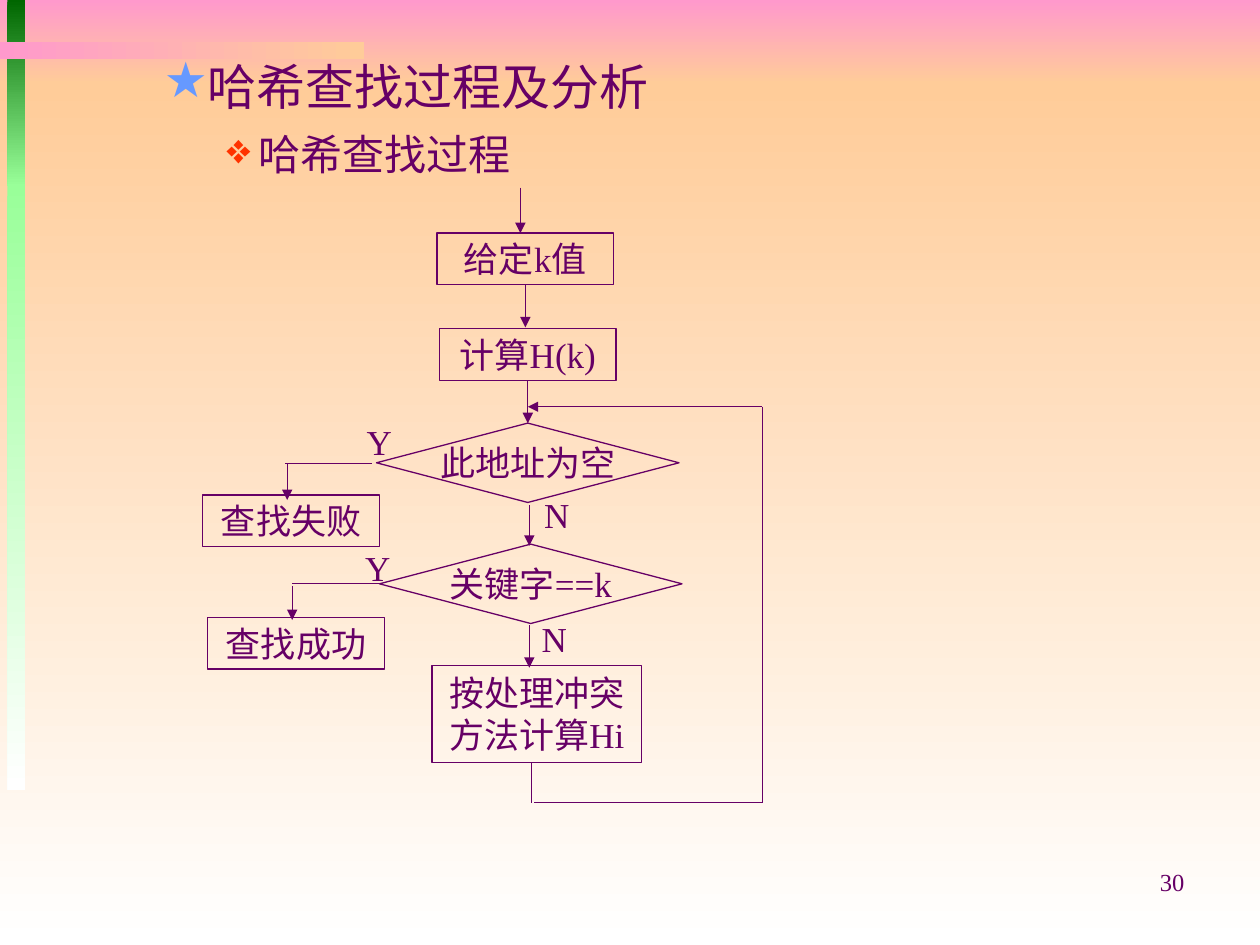
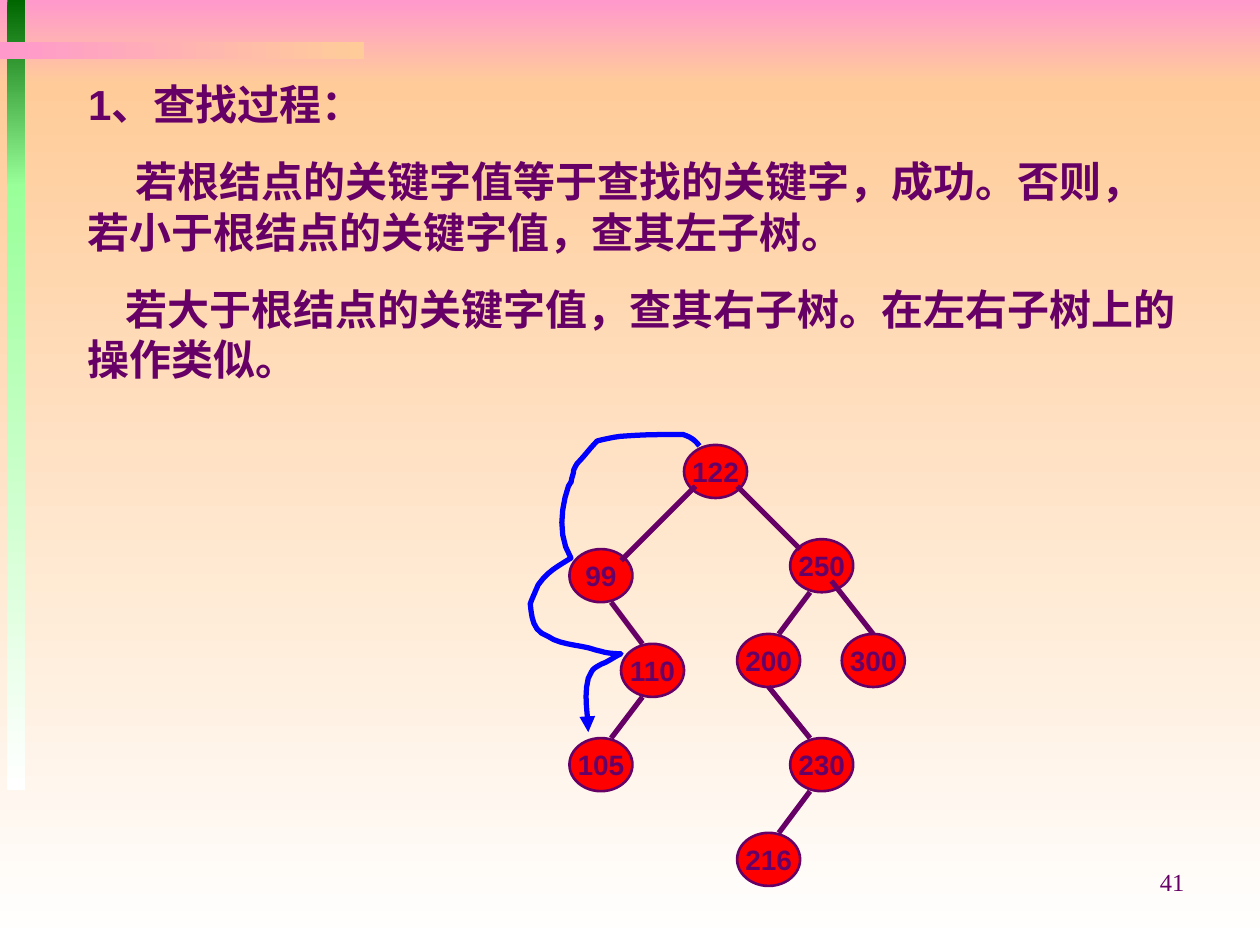
"""Build two slides on hash lookup and binary search tree lookup."""
import dataclasses

import lxml.etree
import pptx
import pptx.dml.color
import pptx.enum.shapes
import pptx.enum.text
import pptx.oxml.ns
import pptx.util

Cm, Pt = pptx.util.Cm, pptx.util.Pt
rgb = pptx.dml.color.RGBColor.from_string
qn = pptx.oxml.ns.qn
PRESET = pptx.enum.shapes.MSO_SHAPE
ALIGN = pptx.enum.text.PP_ALIGN
ANCHOR = pptx.enum.text.MSO_ANCHOR


@dataclasses.dataclass(frozen=True)
class Theme:
    ink: str = "660066"
    pink: str = "FF99CC"
    peach: str = "FFCC99"
    white: str = "FFFFFF"
    dark_green: str = "006600"
    light_green: str = "99FF99"
    star: str = "6699FF"
    diamond: str = "FF3300"
    node: str = "FF0000"
    trail: str = "0000FF"
    sans: str = "Arial"
    serif: str = "Times New Roman"
    heading: int = 28
    body: int = 24
    flow: int = 20
    key: int = 16
    page: int = 14
    thin: float = 0.75
    outline: float = 1.5
    thick: float = 3


theme = Theme()


def write(shape, text, size, font=theme.sans, bold=False, align=ALIGN.LEFT,
          anchor=ANCHOR.TOP, wrap=True, gap=0, indents=(), bullet=None):
    """Fill a shape with one paragraph per line of text."""
    frame = shape.text_frame
    frame.auto_size = pptx.enum.text.MSO_AUTO_SIZE.NONE
    frame.word_wrap = wrap
    frame.vertical_anchor = anchor
    for index, line in enumerate(text.split("\n")):
        paragraph = frame.add_paragraph() if index else frame.paragraphs[0]
        properties = paragraph._p.get_or_add_pPr()
        if bullet:
            mark, color, margin, hang = bullet
            properties.set("marL", str(Cm(margin)))
            properties.set("indent", str(-Cm(hang)))
            mark_color = lxml.etree.SubElement(properties, qn("a:buClr"))
            lxml.etree.SubElement(mark_color, qn("a:srgbClr"), val=color)
            lxml.etree.SubElement(properties, qn("a:buChar"), char=mark)
        if indents:
            properties.set("indent", str(Cm(indents[index])))
        paragraph.alignment = align
        paragraph.space_before = Pt(gap if index else 0)
        run = paragraph.add_run()
        run.text = line
        run.font.size = Pt(size)
        run.font.name = font
        run.font.bold = bold
        run.font.color.rgb = rgb(theme.ink)


def stroke(shape, width, color=theme.ink, arrow=False):
    """Give an outline or a connector its line, without a shadow."""
    shape.line.color.rgb = rgb(color)
    shape.line.width = Pt(width)
    properties = shape.element.spPr
    if arrow:
        lxml.etree.SubElement(properties.find(qn("a:ln")), qn("a:tailEnd"), type="triangle")
    lxml.etree.SubElement(properties, qn("a:effectLst"))


deck = pptx.Presentation()
deck.slide_width, deck.slide_height = Cm(25.4), Cm(19.05)
title_only = deck.slide_layouts[5]
hash_slide = deck.slides.add_slide(title_only)
tree_slide = deck.slides.add_slide(title_only)

bands = [
    (0, 0, 25.4, 1.7, theme.pink, theme.peach, 270),
    (0, 1.7, 25.4, 17.35, theme.peach, theme.white, 270),
    (0.15, 0, 0.36, 3.76, theme.dark_green, theme.light_green, 270),
    (0.15, 3.71, 0.36, 12.22, theme.light_green, theme.white, 270),
    (0, 0.84, 7.34, 0.36, theme.peach, theme.pink, 180),
]
for depth, (*box, first, last, angle) in enumerate(bands, start=2):
    band = hash_slide.shapes.add_shape(PRESET.RECTANGLE, *map(Cm, box))
    band.shadow.inherit = False
    band.line.fill.background()
    band.fill.gradient()
    band.fill.gradient_angle = angle
    for stop, color in zip(band.fill.gradient_stops, (first, last)):
        stop.color.rgb = rgb(color)
    deck.slide_master.shapes.element.insert(depth, band.element)

for slide, number in ((hash_slide, "30"), (tree_slide, "41")):
    page = slide.shapes.add_textbox(Cm(18.21), Cm(17.35), Cm(5.92), Cm(1.32))
    write(page, number, theme.page, font=theme.serif, align=ALIGN.RIGHT)

heading = hash_slide.shapes.title
heading.left, heading.top, heading.width, heading.height = map(Cm, (1.78, 1.02, 23.62, 1.45))
write(heading, "哈希查找过程及分析", theme.heading, bullet=("★", theme.star, 2.06, 0.79))
subheading = hash_slide.shapes.add_textbox(Cm(1.78), Cm(2.47), Cm(23.62), Cm(1.22))
write(subheading, "哈希查找过程", theme.body, bullet=("❖", theme.diamond, 3.18, 0.64))

step, test = PRESET.FLOWCHART_PROCESS, PRESET.FLOWCHART_DECISION
step_size, test_size = (3.56, 1.04), (6.1, 1.6)
stages = [
    (step, 8.81, 4.7, step_size, "给定k值"),
    (step, 8.86, 6.63, step_size, "计算H(k)"),
    (test, 7.59, 8.53, test_size, "此地址为空"),
    (test, 7.65, 10.97, test_size, "关键字==k"),
    (step, 4.09, 9.98, step_size, "查找失败"),
    (step, 4.19, 12.45, step_size, "查找成功"),
    (step, 8.71, 13.41, (4.22, 1.96), "按处理冲突\n方法计算Hi"),
]
for preset, left, top, size, text in stages:
    stage = hash_slide.shapes.add_shape(preset, *map(Cm, (left, top, *size)))
    stage.fill.background()
    stroke(stage, theme.thin)
    write(stage, text, theme.flow, font=theme.serif, align=ALIGN.CENTER,
          anchor=ANCHOR.MIDDLE, wrap=False)

flows = [
    (10.49, 3.78, 10.49, 4.7, True),
    (10.59, 5.74, 10.59, 6.6, True),
    (10.64, 7.67, 10.64, 8.53, True),
    (10.67, 10.19, 10.67, 11, True),
    (10.67, 12.6, 10.67, 13.46, True),
    (7.49, 9.35, 5.74, 9.35, False),
    (5.79, 9.35, 5.79, 10.08, True),
    (7.67, 11.76, 5.89, 11.76, False),
    (5.89, 11.81, 5.89, 12.5, True),
    (10.72, 15.37, 10.72, 16.18, False),
    (10.77, 16.18, 15.37, 16.18, False),
    (15.37, 16.18, 15.37, 8.2, False),
    (15.37, 8.2, 10.64, 8.2, True),
]
straight = pptx.enum.shapes.MSO_CONNECTOR.STRAIGHT
for *ends, arrow in flows:
    flow = hash_slide.shapes.add_connector(straight, *map(Cm, ends))
    stroke(flow, theme.thin, arrow=arrow)

answers = [("Y", 7.14, 8.36), ("N", 10.72, 9.83), ("Y", 7.11, 10.9), ("N", 10.67, 12.32)]
for text, left, top in answers:
    answer = hash_slide.shapes.add_textbox(Cm(left), Cm(top), Cm(1.02), Cm(1.12))
    write(answer, text, theme.flow, font=theme.serif, wrap=False)

heading = tree_slide.shapes.title
heading.left, heading.top, heading.width, heading.height = map(Cm, (1.52, 1.45, 22.61, 1.3))
write(heading, "1、查找过程：", theme.body, bold=True)
rules = tree_slide.shapes.add_textbox(Cm(1.52), Cm(3.02), Cm(22.61), Cm(4.83))
write(rules,
      "若根结点的关键字值等于查找的关键字，成功。否则，若小于根结点的关键字值，查其左子树。\n"
      "若大于根结点的关键字值，查其右子树。在左右子树上的操作类似。",
      theme.body, bold=True, gap=15, indents=(0.97, 0.77))

keys = [
    ("122", 13.79, 8.97), ("99", 11.48, 11.07), ("250", 15.93, 10.87),
    ("110", 12.52, 12.98), ("200", 14.86, 12.78), ("300", 16.97, 12.78),
    ("105", 11.48, 14.88), ("230", 15.93, 14.88), ("216", 14.86, 16.79),
]
for text, left, top in keys:
    key = tree_slide.shapes.add_shape(PRESET.OVAL, Cm(left), Cm(top), Cm(1.27), Cm(1.07))
    key.fill.solid()
    key.fill.fore_color.rgb = rgb(theme.node)
    stroke(key, theme.outline)
    write(key, text, theme.key, bold=True, align=ALIGN.CENTER,
          anchor=ANCHOR.MIDDLE, wrap=False)

branches = [
    (14.02, 9.8, 12.52, 11.3), (14.86, 9.8, 16.13, 11.07),
    (16.76, 11.71, 17.6, 12.78), (16.33, 11.94, 15.7, 12.78),
    (12.32, 12.14, 12.95, 12.98), (12.95, 14.05, 12.32, 14.88),
    (15.49, 13.84, 16.33, 14.88), (16.33, 15.95, 15.7, 16.79),
]
for ends in branches:
    branch = tree_slide.shapes.add_connector(straight, *map(Cm, ends))
    stroke(branch, theme.thick)

trail_start = (14.1, 8.99)
trail_curves = [
    ((14, 8.86), (13.92, 8.81), (13.77, 8.76)),
    ((13.39, 8.76), (13, 8.76), (12.62, 8.79)),
    ((12.42, 8.79), (12.04, 8.89), (12.04, 8.89)),
    ((11.89, 9.04), (11.79, 9.19), (11.63, 9.35)),
    ((11.61, 9.4), (11.56, 9.45), (11.56, 9.53)),
    ((11.46, 9.86), (11.58, 9.6), (11.46, 9.8)),
    ((11.3, 10.26), (11.25, 10.82), (11.51, 11.25)),
    ((11.23, 11.43), (11.05, 11.51), (10.85, 11.79)),
    ((10.8, 11.91), (10.74, 12.04), (10.69, 12.17)),
    ((10.72, 12.45), (10.74, 12.73), (11.05, 12.83)),
    ((11.25, 12.98), (11.61, 13), (11.86, 13.06)),
    ((11.94, 13.08), (12.01, 13.11), (12.12, 13.13)),
    ((12.24, 13.18), (12.52, 13.18), (12.52, 13.18)),
    ((12.4, 13.23), (12.27, 13.34), (12.12, 13.39)),
    ((11.91, 13.51), (11.96, 13.49), (11.86, 13.67)),
    ((11.76, 14.05), (11.86, 14.4), (11.86, 14.76)),
]
samples = 6
trail_points = []
curve_start = trail_start
for curve in trail_curves:
    for sample in range(1, samples + 1):
        t = sample / samples
        weights = ((1 - t) ** 3, 3 * t * (1 - t) ** 2, 3 * t ** 2 * (1 - t), t ** 3)
        trail_points.append(tuple(
            Cm(sum(weight * place for weight, place in zip(weights, places)))
            for places in zip(curve_start, *curve)))
    curve_start = curve[-1]
outline = tree_slide.shapes.build_freeform(*map(Cm, trail_start))
outline.add_line_segments(trail_points, close=False)
trail = outline.convert_to_shape()
trail.fill.background()
stroke(trail, theme.thick, color=theme.trail, arrow=True)

deck.save("out.pptx")
